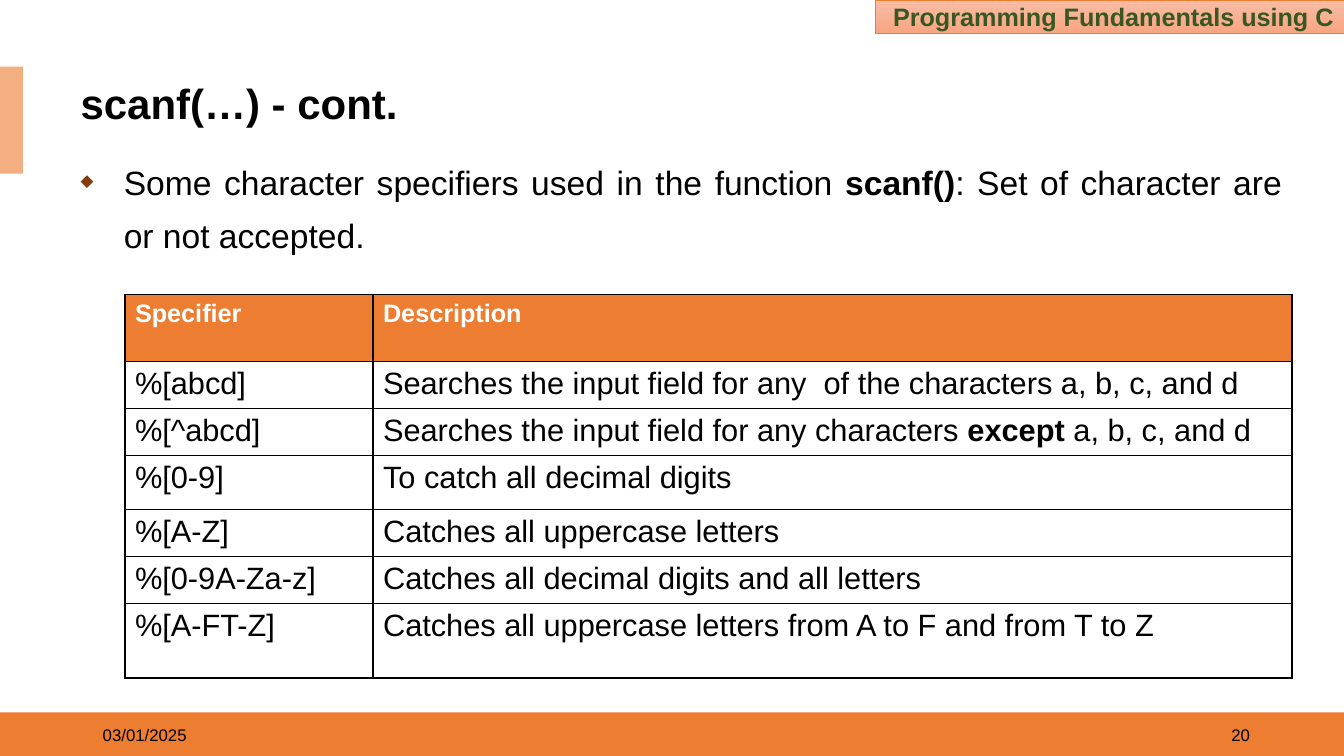
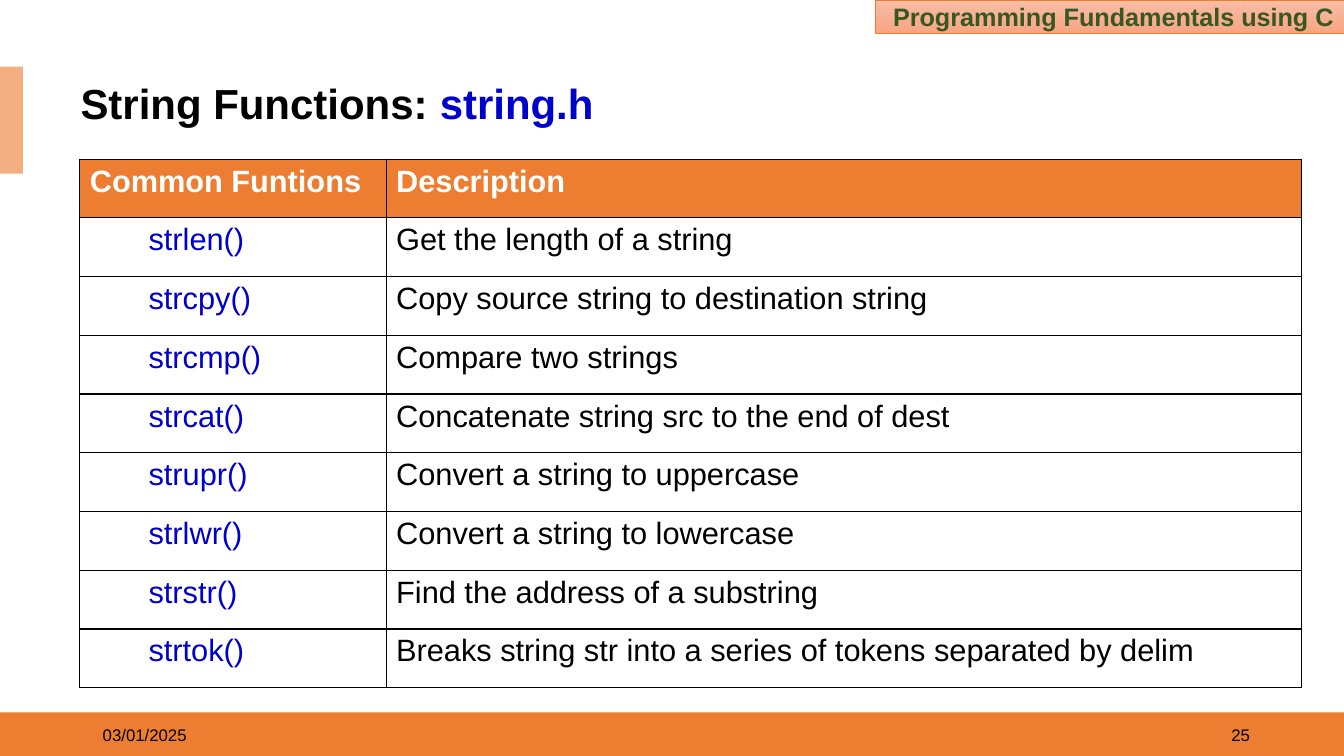
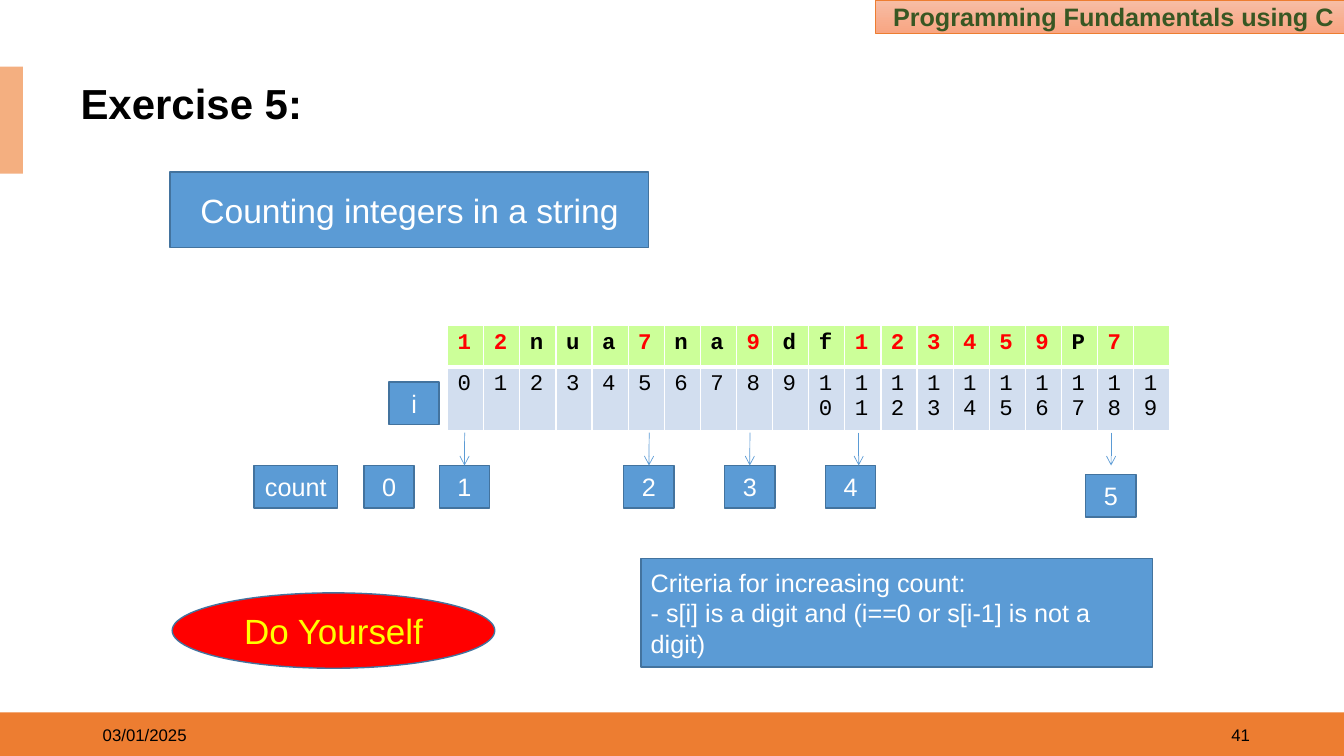
from lxml.etree import SubElement
from pptx import Presentation
from pptx.dml.color import RGBColor
from pptx.enum.shapes import MSO_CONNECTOR, MSO_SHAPE
from pptx.enum.text import MSO_ANCHOR, PP_ALIGN
from pptx.oxml.ns import qn
from pptx.util import Cm, Pt

RECT, OVAL = MSO_SHAPE.RECTANGLE, MSO_SHAPE.OVAL
LINE = MSO_CONNECTOR.STRAIGHT
MID = MSO_ANCHOR.MIDDLE
LEFT, MIDST, RIGHT, FULL = PP_ALIGN.LEFT, PP_ALIGN.CENTER, PP_ALIGN.RIGHT, PP_ALIGN.JUSTIFY


class Theme:
    white, black = RGBColor(255, 255, 255), RGBColor(0, 0, 0)
    orange = RGBColor.from_string("ED7D31")
    peach = RGBColor.from_string("F4AF80")
    light = RGBColor.from_string("F7BDA5")
    deep = RGBColor.from_string("F8A582")
    green = RGBColor.from_string("385723")
    link = RGBColor.from_string("0000CC")
    blue = RGBColor.from_string("5B9BD5")
    navy = RGBColor.from_string("43739E")
    red = RGBColor.from_string("FF0000")
    yellow = RGBColor.from_string("FFFF00")
    lime = RGBColor.from_string("CCFF99")
    pale = RGBColor.from_string("D2DEEF")

    plain = dict(name="Arial", size=Pt(22), bold=False, rgb=black)
    title = dict(plain, size=Pt(30), bold=True)
    course = dict(plain, size=Pt(18), bold=True, rgb=green)
    body = dict(plain, size=Pt(24))
    foot = dict(plain, size=Pt(12))
    head = dict(plain, bold=True, rgb=white)
    small = dict(head, size=Pt(18))
    code = dict(plain, name="Courier New", size=Pt(16))
    tag = dict(plain, size=Pt(18), rgb=white)
    large = dict(tag, size=Pt(24))
    call = dict(tag, size=Pt(25), rgb=yellow)


def write(frame, lines, look, align=LEFT):
    """Each line is a string or a list of (text, changes) runs."""
    frame.word_wrap = True
    for num, runs in enumerate(lines):
        para = frame.add_paragraph() if num else frame.paragraphs[0]
        para.alignment = align
        for text, extra in [(runs, {})] if isinstance(runs, str) else runs:
            run = para.add_run()
            run.text = text
            for key, val in {**look, **extra}.items():
                if key == "rgb":
                    run.font.color.rgb = val
                else:
                    setattr(run.font, key, val)


def block(slide, kind, at, fill=None, edge=None, width=1):
    """Add a shape, or a text box when kind is None; lengths are in cm."""
    spot = [Cm(v) for v in at]
    if kind is None:
        return slide.shapes.add_textbox(*spot)
    shape = slide.shapes.add_shape(kind, *spot)
    shape.shadow.inherit = False
    shape.text_frame.vertical_anchor = MID
    if fill is not None:
        shape.fill.solid()
        shape.fill.fore_color.rgb = fill
    if edge is None:
        shape.line.fill.background()
    else:
        shape.line.color.rgb = edge
        shape.line.width = Pt(width)
    return shape


# Content of the three pages
bold, blue = dict(bold=True), dict(rgb=Theme.link)
calls = [
    ("strlen()", "Get the length of a string"),
    ("strcpy()", "Copy source string to destination string"),
    ("strcmp()", "Compare two strings"),
    ("strcat()", "Concatenate string src to the end of dest"),
    ("strupr()", "Convert a string to uppercase"),
    ("strlwr()", "Convert a string to lowercase"),
    ("strstr()", "Find the address of a substring"),
    ("strtok()", "Breaks string str into a series of tokens separated by delim"),
]
chars = [[(c, dict(rgb=Theme.red) if c.isdigit() else {})] for c in "12nua7na9df123459P7"]
lined = dict(fills=(Theme.orange, Theme.white), edge="000000", under=1, lead=0)
pages = [
    dict(lined, title="scanf(…) - cont.", num="20", at=(3.15, 7.42),
         cols=[6.25, 23.16], rows=[1.69, 1.14, 1.14, 1.35, 1.14, 1.14, 1.88],
         looks=(Theme.small, Theme.plain),
         cells=[
             ("Specifier", "Description"),
             ("%[abcd]", "Searches the input field for any  of the characters a, b, c, and d"),
             ("%[^abcd]", [("Searches the input field for any characters ", {}),
                           ("except", bold), (" a, b, c, and d", {})]),
             ("%[0-9]", "To catch all decimal digits"),
             ("%[A-Z]", "Catches all uppercase letters"),
             ("%[0-9A-Za-z]", "Catches all decimal digits and all letters"),
             ("%[A-FT-Z]", "Catches all uppercase letters from A to F and from T to Z"),
         ]),
    dict(lined, title=[("String Functions: ", {}), ("string.h", blue)], num="25",
         at=(2.01, 4.01), cols=[7.72, 23.06], rows=[1.48] * 9, lead=1.48,
         looks=(Theme.head, Theme.plain),
         cells=[("Common Funtions", "Description")]
         + [([(name, blue)], text) for name, text in calls]),
    dict(title="Exercise 5:", num="41", at=(11.28, 8.2), cols=[0.91] * 20,
         rows=[1.04, 1.58], looks=(dict(Theme.code, bold=True), Theme.code),
         fills=(Theme.lime, Theme.pale), edge="FFFFFF", under=3, lead=0,
         cells=[chars + [None], [str(n) for n in range(20)]]),
]

deck = Presentation()
deck.slide_width, deck.slide_height = Cm(33.87), Cm(19.05)
slides = []

for page in pages:
    slide = deck.slides.add_slide(deck.slide_layouts[6])
    slides.append(slide)

    # Bands and course name
    block(slide, RECT, (0, 17.95, 33.87, 1.1), Theme.orange)
    block(slide, RECT, (0, 1.68, 0.58, 2.7), Theme.peach)
    badge = block(slide, RECT, (22.07, 0, 11.8, 0.84), None, Theme.orange, 0.5)
    badge.fill.gradient()
    badge.fill.gradient_angle = 270
    for stop, shade in zip(badge.fill.gradient_stops, (Theme.light, Theme.deep)):
        stop.color.rgb = shade
    write(badge.text_frame, ["Programming Fundamentals using C"], Theme.course, RIGHT)

    # Title and footer
    frame = block(slide, RECT, (1.78, 2.01, 30.78, 1.3), Theme.white).text_frame
    write(frame, [page["title"]], Theme.title)
    frame.paragraphs[0].line_spacing = 0.9
    for left, text, align in ((24.13, page["num"], RIGHT), (2.34, "03/01/2025", LEFT)):
        frame = block(slide, None, (left, 18.01, 7.62, 1.02)).text_frame
        frame.vertical_anchor = MID
        write(frame, [text], Theme.foot, align)

    # Table
    cols, rows = page["cols"], page["rows"]
    size = [Cm(v) for v in (*page["at"], sum(cols), sum(rows))]
    table = slide.shapes.add_table(len(rows), len(cols), *size).table
    for col, width in zip(table.columns, cols):
        col.width = Cm(width)
    for y, high in enumerate(rows):
        table.rows[y].height = Cm(high)
        part = min(y, 1)
        for x, text in enumerate(page["cells"][y]):
            cell = table.cell(y, x)
            if text:
                write(cell.text_frame, [text], page["looks"][part])
            if y and not x and page["lead"]:
                props = cell.text_frame.paragraphs[0]._p.get_or_add_pPr()
                props.set("marL", str(Cm(page["lead"])))
            props = cell._tc.get_or_add_tcPr()
            for side in "LRTB":
                thick = page["under"] if side == "B" and not y else 1
                line = SubElement(props, qn("a:ln" + side), w=str(Pt(thick)))
                solid = SubElement(line, qn("a:solidFill"))
                SubElement(solid, qn("a:srgbClr"), val=page["edge"])
            cell.fill.solid()
            cell.fill.fore_color.rgb = page["fills"][part]

scan, _, task = slides

# Bullet above the specifier table
frame = block(scan, None, (1.78, 3.66, 30.78, 14.22)).text_frame
write(frame, [[("Some character specifiers used in the function ", {}), ("scanf()", bold),
               (": Set of character are or not accepted.", {})]], Theme.body, FULL)
para = frame.paragraphs[0]
para.line_spacing = 1.3
props = para._p.get_or_add_pPr()
props.set("marL", str(Cm(1.09)))
props.set("indent", str(Cm(-1.09)))
SubElement(SubElement(props, qn("a:buClr")), qn("a:srgbClr"), val="843C0B")
SubElement(props, qn("a:buSzPct"), val="50000")
SubElement(props, qn("a:buChar"), char="◆")

# Exercise panels
rule = ["Criteria for increasing count:", "- s[i] is a digit and (i==0 or s[i-1] is not a digit)"]
for kind, at, fill, lines, look, align in (
    (RECT, (4.29, 4.34, 12.06, 1.9), Theme.blue, ["Counting integers in a string"], Theme.large, MIDST),
    (OVAL, (4.34, 14.94, 8.13, 1.9), Theme.red, ["Do Yourself"], Theme.call, MIDST),
    (RECT, (16.15, 14.07, 12.9, 2.74), Theme.blue, rule, Theme.tag, LEFT),
):
    write(block(task, kind, at, fill, Theme.navy).text_frame, lines, look, align)

# Counter boxes
tags = {}
for text, left, top, width in (
    ("count", 6.4, 11.73, 2.11), ("0", 9.17, 11.73, 1.27), ("i", 9.8, 9.63, 1.27),
    ("1", 11.07, 11.73, 1.27), ("2", 15.72, 11.73, 1.27), ("3", 18.26, 11.73, 1.27),
    ("4", 20.8, 11.73, 1.27), ("5", 27.36, 11.96, 1.27),
):
    tags[text] = block(task, RECT, (left, top, width, 1.07), Theme.blue, Theme.navy)
    write(tags[text].text_frame, [text], Theme.tag, MIDST)

# Arrows from the string to the counters
for x, goal in ((11.71, "1"), (16.36, "2"), (18.9, "3"), (21.64, None), (28, None)):
    arrow = task.shapes.add_connector(LINE, Cm(x), Cm(10.9), Cm(x), Cm(11.73))
    if goal:
        arrow.end_connect(tags[goal], 0)
    arrow.line.color.rgb = Theme.blue
    arrow.line.width = Pt(0.5)
    props = arrow._element.spPr
    SubElement(props.find(qn("a:ln")), qn("a:tailEnd"), type="arrow")
    SubElement(props, qn("a:effectLst"))

deck.save("out.pptx")
